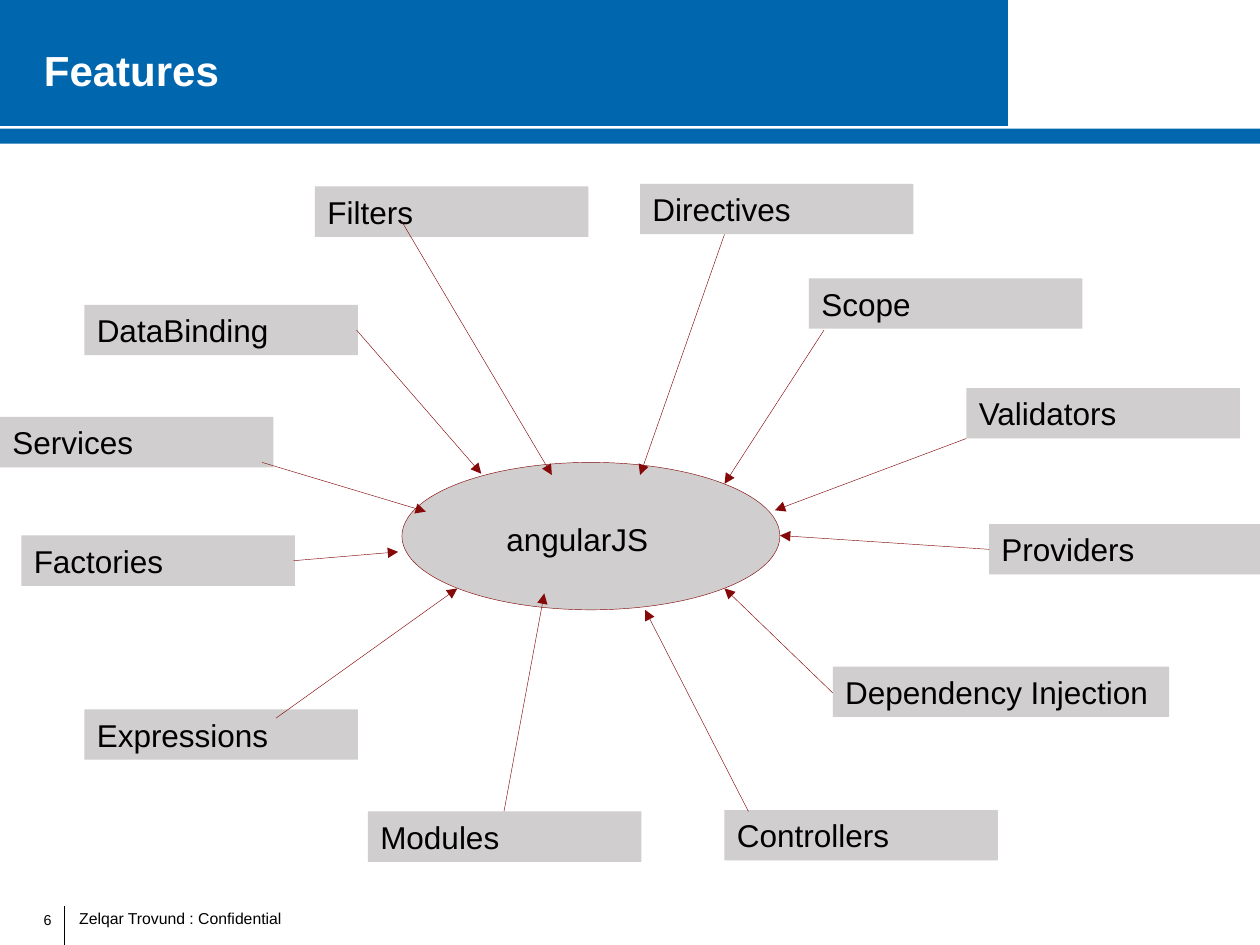
from dataclasses import dataclass

from lxml import etree
from pptx import Presentation
from pptx import util as u
from pptx.dml.color import RGBColor
from pptx.enum import shapes, text
from pptx.oxml.ns import qn


@dataclass(frozen=True)
class Theme:
    font: str = "Arial"
    blue: str = "0066AE"
    grey: str = "D0CECE"
    red: str = "850909"
    black: str = "000000"
    white: str = "FFFFFF"
    title: float = 24
    body: float = 18
    footer: float = 9
    number: float = 8.2
    hairline: float = 0.25
    divider: float = 0.5


THEME = Theme()
BOX_WIDTH, BOX_HEIGHT = 2.17, 0.4

# name, box left, box top, arrow start, arrow end
FEATURES = [
    ("DataBinding", 0.67, 2.42, (2.83, 2.62), (3.82, 3.76)),
    ("Filters", 2.5, 1.48, (3.19, 1.76), (4.38, 3.77)),
    ("Services", 0, 3.31, (2.08, 3.67), (3.38, 4.06)),
    ("Directives", 5.08, 1.46, (5.75, 1.86), (5.08, 3.77)),
    ("Scope", 6.42, 2.21, (6.54, 2.62), (5.75, 3.84)),
    ("Validators", 7.67, 3.08, (7.67, 3.48), (6.15, 4.05)),
    ("Providers", 7.85, 4.16, (7.85, 4.36), (6.19, 4.25)),
    ("Dependency Injection", 6.61, 5.29, (6.61, 5.5), (5.75, 4.67)),
    ("Controllers", 5.75, 6.43, (5.94, 6.44), (5.12, 4.84)),
    ("Factories", 0.17, 4.25, (2.33, 4.45), (3.16, 4.38)),
    ("Expressions", 0.67, 5.63, (2.19, 5.7), (3.63, 4.67)),
    ("Modules", 2.92, 6.44, (4, 6.44), (4.32, 4.71)),
]
WIDE_BOXES = {"Dependency Injection": 2.67}


def rgb(color):
    return RGBColor.from_string(color)


def inches(values):
    return [u.Inches(v) for v in values]


def write(sp, content, size=THEME.body, color=THEME.black, bold=False,
          align=text.PP_ALIGN.LEFT, anchor=text.MSO_ANCHOR.TOP, right=0.1):
    tf = sp.text_frame
    tf.word_wrap = True
    tf.vertical_anchor = anchor
    tf.margin_right = u.Inches(right)
    p = tf.paragraphs[0]
    p.alignment = align
    r = p.add_run()
    r.text = content
    r.font.name = THEME.font
    r.font.size = u.Pt(size)
    r.font.bold = bold
    r.font.color.rgb = rgb(color)


def add_text(s, box, content, **fmt):
    write(s.shapes.add_textbox(*inches(box)), content, **fmt)


def paint(sp, fill, line=None):
    sp.shadow.inherit = False
    sp.fill.solid()
    sp.fill.fore_color.rgb = rgb(fill)
    if line:
        sp.line.color.rgb = rgb(line)
        sp.line.width = u.Pt(THEME.hairline)
    else:
        sp.line.fill.background()


def add_shape(s, kind, box, fill, line=None):
    sp = s.shapes.add_shape(kind, *inches(box))
    paint(sp, fill, line)
    return sp


def add_line(s, start, end, color, width, arrow=False):
    line = s.shapes.add_connector(
        shapes.MSO_CONNECTOR.STRAIGHT, *inches(start + end))
    line.line.color.rgb = rgb(color)
    line.line.width = u.Pt(width)
    if arrow:
        ln = line.line._get_or_add_ln()
        etree.SubElement(ln, qn("a:tailEnd"), type="triangle")
    etree.SubElement(line._element.spPr, qn("a:effectLst"))


def add_header(s):
    builder = s.shapes.build_freeform(0, 0, scale=u.Inches(1))
    builder.add_line_segments([(8, 0), (7.67, 1), (0, 1)], close=True)
    paint(builder.convert_to_shape(), THEME.blue)
    add_shape(s, shapes.MSO_SHAPE.RECTANGLE, (0, 1.02, 10, 0.12), THEME.blue)
    add_text(s, (0.25, 0, 7.69, 1.1), "Features", size=THEME.title,
             color=THEME.white, bold=True, anchor=text.MSO_ANCHOR.MIDDLE)


def add_footer(s):
    add_line(s, (0.51, 7.19), (0.51, 7.5), THEME.black, THEME.divider)
    add_text(s, (0.05, 7.18, 0.36, 0.24), "6", size=THEME.number,
             align=text.PP_ALIGN.RIGHT, right=0)
    add_text(s, (0.53, 7.16, 3.81, 0.25), "Zelqar Trovund : Confidential",
             size=THEME.footer)


def add_hub(s):
    add_shape(s, shapes.MSO_SHAPE.OVAL, (3.19, 3.67, 3, 1.17),
              THEME.grey, THEME.red)
    add_text(s, (3.92, 4.08, 1.33, 0.71), "angularJS")


def add_features(s):
    for name, left, top, _, _ in FEATURES:
        box = (left, top, WIDE_BOXES.get(name, BOX_WIDTH), BOX_HEIGHT)
        write(add_shape(s, shapes.MSO_SHAPE.RECTANGLE, box, THEME.grey), name)
    for _, _, _, start, end in FEATURES:
        add_line(s, start, end, THEME.red, THEME.hairline, arrow=True)


def main():
    prs = Presentation()
    prs.slide_width, prs.slide_height = inches((10, 7.5))
    s = prs.slides.add_slide(prs.slide_layouts[6])
    add_header(s)
    add_footer(s)
    add_hub(s)
    add_features(s)
    prs.save("out.pptx")


if __name__ == "__main__":
    main()
